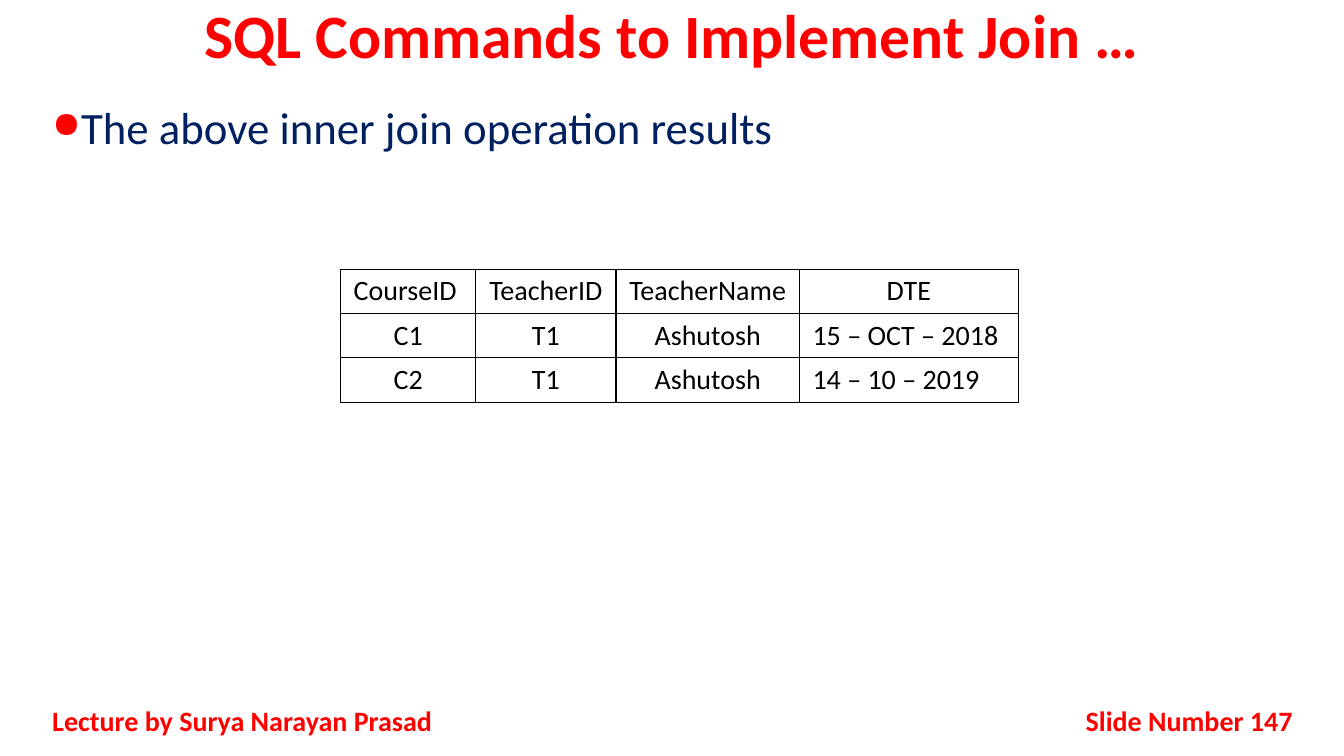
import pptx
import pptx.util
import pptx.dml.color
import pptx.enum.text
import pptx.oxml
import pptx.oxml.ns
from lxml import etree

Inches = pptx.util.Inches
ALIGN = pptx.enum.text.PP_ALIGN
ANCHOR = pptx.enum.text.MSO_ANCHOR
COLORS = {"red": "FF0000", "navy": "002060", "black": "000000"}


def add_element(parent, tag, **attributes):
    element = etree.SubElement(parent, pptx.oxml.ns.qn(tag))
    for name, value in attributes.items():
        element.set(name, str(value))
    return element


def write_text(frame, text, size, color, alignment, bold=False):
    paragraph = frame.paragraphs[0]
    paragraph.alignment = alignment
    run = paragraph.add_run()
    run.text = text
    font_format = {"name": "Calibri", "size": pptx.util.Pt(size), "bold": bold}
    for name, value in font_format.items():
        setattr(run.font, name, value)
    run.font.color.rgb = pptx.dml.color.RGBColor.from_string(COLORS[color])
    return paragraph


presentation = pptx.Presentation()
presentation.slide_width = Inches(13.33)
presentation.slide_height = Inches(7.5)
slide = presentation.slides.add_slide(presentation.slide_layouts[5])

# Title
title = slide.shapes.title
title_place = {"left": 0, "top": 0, "width": 13.33, "height": 0.83}
for name, value in title_place.items():
    setattr(title, name, Inches(value))
title.text_frame.auto_size = pptx.enum.text.MSO_AUTO_SIZE.NONE
title.text_frame.vertical_anchor = ANCHOR.TOP
paragraph = write_text(title.text_frame, "SQL Commands to Implement Join …",
                       44, "red", ALIGN.CENTER, True)
paragraph.line_spacing = 0.9

# Bullet, footer and slide number
text_boxes = [
    ((0.42, 1, 12.5, 5.67), "The above inner join operation results",
     32, "navy", ALIGN.JUSTIFY, False, ANCHOR.TOP),
    ((0.42, 6.95, 4.17, 0.4), "Lecture by Surya Narayan Prasad",
     20, "red", ALIGN.JUSTIFY, True, ANCHOR.MIDDLE),
    ((10.17, 6.95, 2.75, 0.4), "Slide Number 147",
     20, "red", ALIGN.RIGHT, True, ANCHOR.MIDDLE),
]
for place, text, size, color, alignment, bold, anchor in text_boxes:
    box = slide.shapes.add_textbox(*[Inches(value) for value in place])
    box.text_frame.word_wrap = True
    box.text_frame.vertical_anchor = anchor
    paragraph = write_text(box.text_frame, text, size, color, alignment, bold)
    if anchor == ANCHOR.TOP:
        paragraph.line_spacing = 0.9
        paragraph.space_before = pptx.util.Pt(10)
        properties = paragraph._p.get_or_add_pPr()
        properties.set("marL", str(Inches(0.25)))
        properties.set("indent", str(Inches(-0.25)))
        bullet_color = add_element(properties, "a:buClr")
        add_element(bullet_color, "a:srgbClr", val=COLORS["red"])
        add_element(properties, "a:buSzPct", val=81000)
        add_element(properties, "a:buChar", char="●")

# Join result table
rows = [
    ["CourseID ", "TeacherID", "TeacherName", "DTE"],
    ["C1", "T1", "Ashutosh", "15 – OCT – 2018"],
    ["C2", "T1", "Ashutosh", "14 – 10 – 2019"],
]
column_widths = [1.34, 1.39, 1.82, 2.17]
row_height = 0.44
table = slide.shapes.add_table(
    len(rows), len(column_widths), Inches(3.38), Inches(2.67),
    Inches(sum(column_widths)), Inches(row_height * len(rows))).table
for column, width in zip(table.columns, column_widths):
    column.width = Inches(width)
for row_index, row in enumerate(rows):
    table.rows[row_index].height = Inches(row_height)
    for column_index, text in enumerate(row):
        cell = table.cell(row_index, column_index)
        is_date = row_index > 0 and column_index == 3
        if is_date:
            cell.margin_left = Inches(0.13)
        write_text(cell.text_frame, text, 20, "black",
                   ALIGN.LEFT if is_date else ALIGN.CENTER)
        cell_properties = cell._tc.get_or_add_tcPr()
        for side in ("a:lnL", "a:lnR", "a:lnT", "a:lnB"):
            border = add_element(cell_properties, side, w=pptx.util.Pt(1))
            fill = add_element(border, "a:solidFill")
            add_element(fill, "a:srgbClr", val=COLORS["black"])
        cell.fill.background()

presentation.save("out.pptx")
